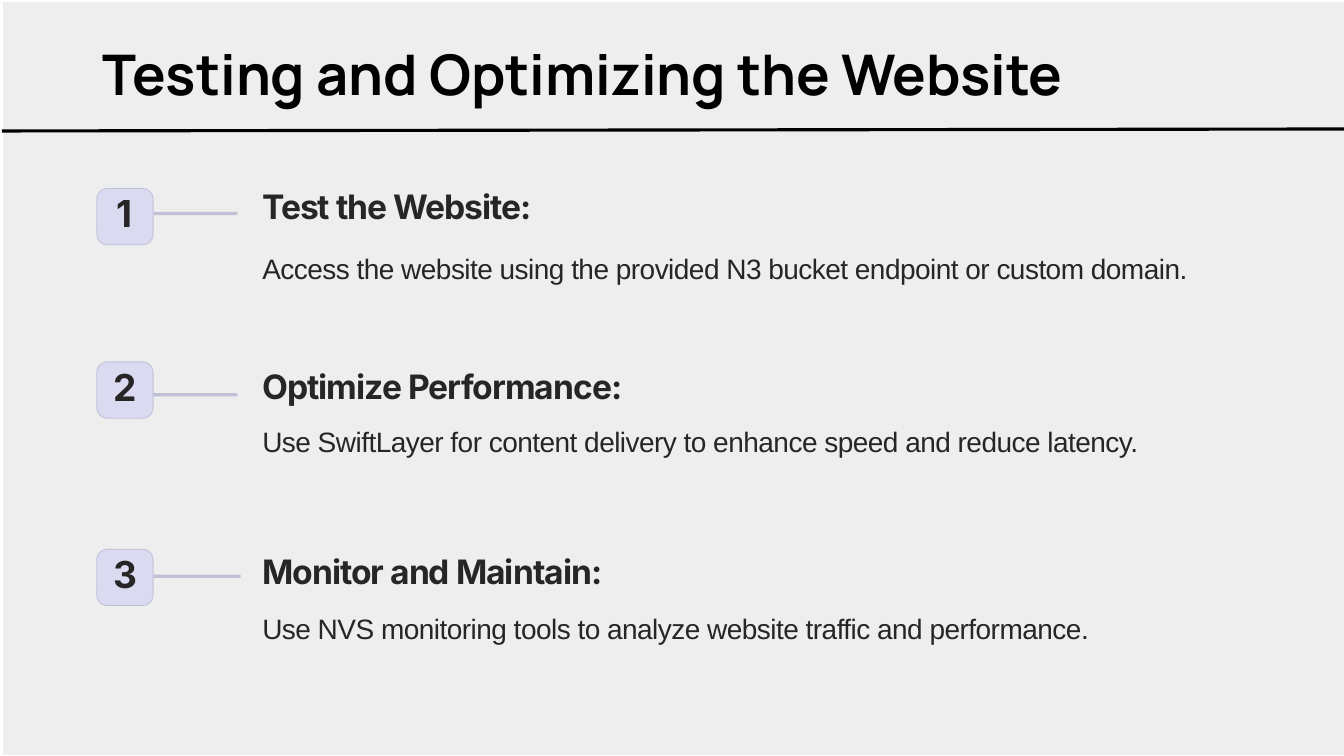
"""Build the slide on testing and optimizing the website."""
from dataclasses import dataclass

from pptx import Presentation, util as u
from pptx.dml.color import RGBColor
from pptx.enum import shapes, text
from pptx.oxml import parse_xml
from pptx.oxml.ns import nsdecls

INK, EDGE = "272525", "C0C1D7"
LEFT, MID = text.PP_ALIGN.LEFT, text.PP_ALIGN.CENTER
RECT = shapes.MSO_SHAPE.RECTANGLE
ROUND = shapes.MSO_SHAPE.ROUNDED_RECTANGLE


@dataclass
class Step:
    """One numbered step, with its places in centimetres."""
    head: str
    note: str
    badge_top: float
    bar_left: float
    bar_top: float
    head_top: float
    note_top: float


@dataclass
class Style:
    """The look of one kind of text."""
    font: str
    size: float
    lead: float
    space: int
    bold: bool = True
    align: int = LEFT


NUMBER = Style("Inter", 26.5, 26.5, -80, align=MID)
HEAD = Style("Inter", 24, 27.5, -70)
NOTE = Style("Arial", 20, 28.5, -40, bold=False)

STEPS = [
    Step("Test the Website:",
         "Access the website using the provided N3 bucket endpoint or custom domain.",
         4.75, 3.78, 5.34, 4.72, 6.17),
    Step("Optimize Performance:",
         "Use SwiftLayer for content delivery to enhance speed and reduce latency.",
         9.12, 3.78, 9.91, 9.27, 10.54),
    Step("Monitor and Maintain:",
         "Use NVS monitoring tools to analyze website traffic and performance.",
         13.84, 3.86, 14.48, 13.92, 15.26),
]


def color(code: str) -> RGBColor:
    """Turn a hex string into a colour."""
    return RGBColor.from_string(code)


def area(left: float, top: float, width: float, height: float) -> list:
    """Give a box in centimetres as lengths."""
    return [u.Cm(side) for side in (left, top, width, height)]


def inset(frame, size: float) -> None:
    """Set all four margins of a text frame."""
    frame.margin_left = frame.margin_right = u.Cm(size)
    frame.margin_top = frame.margin_bottom = u.Cm(size)


def block(slide, kind, box: list, fill: str, line: str = "",
          width: float = 0, bend: float = 0):
    """Draw one filled shape."""
    shape = slide.shapes.add_shape(kind, *box)
    shape.shadow.inherit = False
    shape.fill.solid()
    shape.fill.fore_color.rgb = color(fill)
    if line:
        shape.line.color.rgb = color(line)
        shape.line.width = u.Pt(width)
    else:
        shape.line.fill.background()
    if bend:
        shape.adjustments[0] = bend
    return shape


def label(slide, words: str, box: list, style: Style) -> None:
    """Write one line of text."""
    frame = slide.shapes.add_textbox(*box).text_frame
    frame.word_wrap = True
    inset(frame, 0)
    para = frame.paragraphs[0]
    para.text = words
    para.alignment = style.align
    para.line_spacing = u.Pt(style.lead)
    para.font.name = style.font
    para.font.size = u.Pt(style.size)
    para.font.bold = style.bold
    para.font.color.rgb = color(INK)
    para.runs[0].font._element.set("spc", str(style.space))


def header(slide) -> None:
    """Set the title, the panel behind it and the rule below it."""
    title = slide.shapes.title
    title.left, title.top, title.width, title.height = area(1.88, 0.66, 31.04, 2.62)
    frame = title.text_frame
    frame.auto_size = text.MSO_AUTO_SIZE.NONE
    frame.vertical_anchor = text.MSO_ANCHOR.TOP
    frame.word_wrap = True
    inset(frame, 0.33)
    para = frame.paragraphs[0]
    para.text = "Testing and Optimizing the Website"
    para.alignment = LEFT
    para.font.name = "Manrope"
    para.font.size = u.Pt(40)
    para.font.bold = True
    para.font.color.rgb = color("000000")
    para._p.get_or_add_pPr().set("marL", str(u.Cm(0.38)))

    panel = block(slide, RECT, area(0.04, 0.02, 33.87, 19.05), "EEEEEE", "FFFFFF", 2.25)
    title.element.addprevious(panel.element)

    rule = slide.shapes.add_connector(
        shapes.MSO_CONNECTOR.STRAIGHT, u.Cm(0.05), u.Cm(3.3), u.Cm(33.99), u.Cm(3.25))
    rule.line.color.rgb = color("000000")
    rule.line.width = u.Pt(2.25)
    rule.element.spPr.append(parse_xml(f"<a:effectLst {nsdecls('a')}/>"))


def draw(slide, rank: int, step: Step) -> None:
    """Draw one step with its badge, bar and text."""
    block(slide, ROUND, area(step.bar_left, step.bar_top, 2.21, 0.08), EDGE, bend=0.5)
    block(slide, ROUND, area(2.44, step.badge_top, 1.42, 1.42),
          "DADBF1", EDGE, 0.6, 0.19)
    label(slide, str(rank), area(2.86, step.badge_top + 0.24, 0.56, 0.94), NUMBER)
    label(slide, step.head, area(6.61, step.head_top, 10, 0.99), HEAD)
    label(slide, step.note, area(6.61, step.note_top, 24.5, 1.02), NOTE)


def main() -> None:
    """Build and save the deck."""
    deck = Presentation()
    deck.slide_width, deck.slide_height = u.Cm(33.87), u.Cm(19.05)
    slide = deck.slides.add_slide(deck.slide_layouts.get_by_name("Title Only"))
    header(slide)
    for rank, step in enumerate(STEPS, 1):
        draw(slide, rank, step)
    deck.save("out.pptx")


if __name__ == "__main__":
    main()
